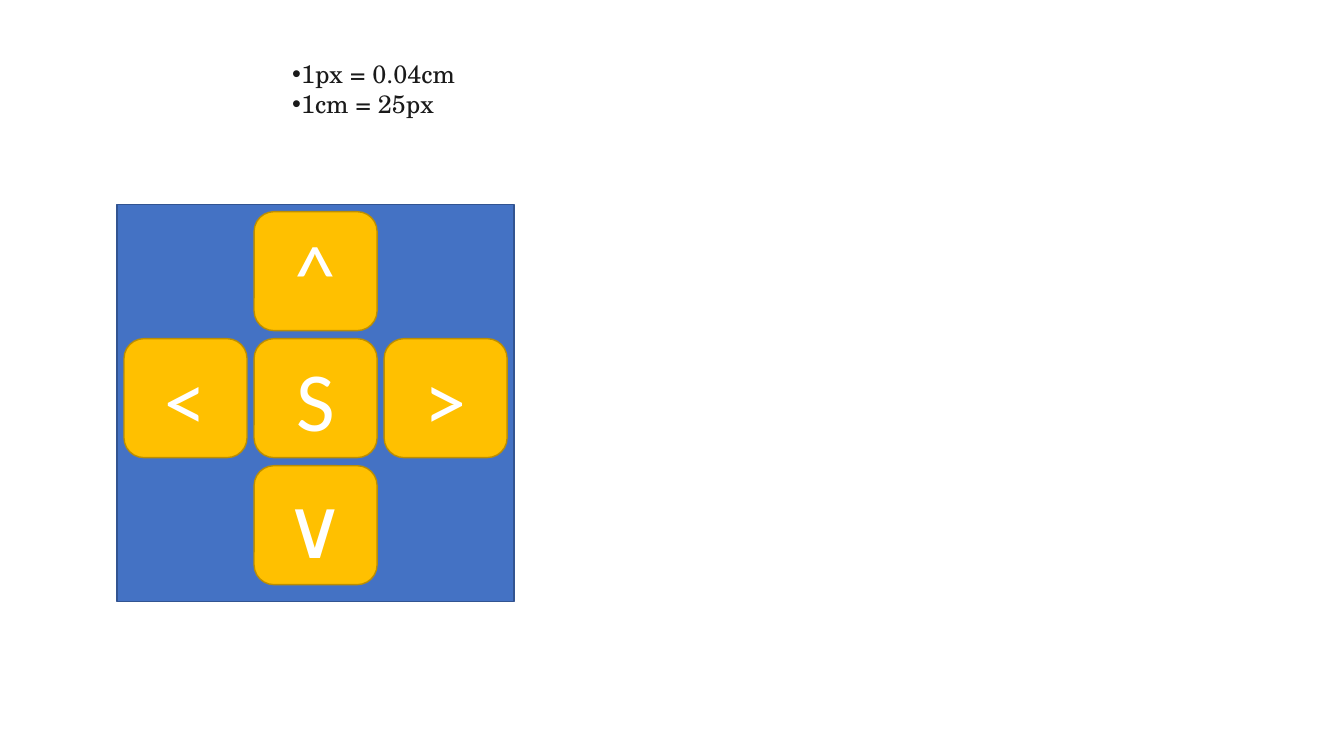
from lxml import etree
from pptx import Presentation
from pptx.dml.color import RGBColor
from pptx.enum.shapes import MSO_SHAPE
from pptx.enum.text import MSO_ANCHOR, MSO_AUTO_SIZE, PP_ALIGN
from pptx.oxml.ns import qn
from pptx.util import Inches, Pt

RECTANGLE = MSO_SHAPE.RECTANGLE
ROUNDED = MSO_SHAPE.ROUNDED_RECTANGLE
MIDDLE = MSO_ANCHOR.MIDDLE
CENTER = PP_ALIGN.CENTER
GROW = MSO_AUTO_SIZE.SHAPE_TO_FIT_TEXT

BLUE = RGBColor(0x44, 0x72, 0xC4)
DARK_BLUE = RGBColor(0x32, 0x54, 0x91)
GOLD = RGBColor(0xFF, 0xC0, 0x00)
DARK_GOLD = RGBColor(0xBD, 0x8E, 0x00)
WHITE = RGBColor(0xFF, 0xFF, 0xFF)
INK = RGBColor(0x1A, 0x1A, 0x1A)

BLANK_LAYOUT = 6
PAD_LEFT, PAD_TOP, PAD_SIZE = 1.16, 2.03, 3.94
KEY_LEFT, KEY_TOP = 1.23, 2.1
KEY_WIDTH, KEY_HEIGHT = 1.22, 1.18
COLUMN_STEP, ROW_STEP = 1.29, 1.26

# Label, column and row of each key
KEYS = [("^", 1, 0), ("\u2228", 1, 2), ("<", 0, 1), (">", 2, 1), ("S", 1, 1)]
SCALE_NOTES = ["1px = 0.04cm", "1cm = 25px"]


def add_run(paragraph, text, font_name, size, color):
    """Add one formatted run to a paragraph."""
    run = paragraph.add_run()
    run.text = text
    run.font.name = font_name
    run.font.size = Pt(size)
    run.font.color.rgb = color


def add_panel(slide, kind, box, fill, line):
    """Add a filled and outlined shape; box is left, top, width, height."""
    shape = slide.shapes.add_shape(kind, *map(Inches, box))
    shape.shadow.inherit = False
    shape.fill.solid()
    shape.fill.fore_color.rgb = fill
    shape.line.color.rgb = line
    shape.line.width = Pt(1)
    return shape


def add_key(slide, label, column, row):
    """Add a labelled key at a column and row of the key grid."""
    box = (KEY_LEFT + column * COLUMN_STEP, KEY_TOP + row * ROW_STEP,
           KEY_WIDTH, KEY_HEIGHT)
    key = add_panel(slide, ROUNDED, box, GOLD, DARK_GOLD)
    key.text_frame.vertical_anchor = MIDDLE
    paragraph = key.text_frame.paragraphs[0]
    paragraph.alignment = CENTER
    add_run(paragraph, label, "Calibri", 60, WHITE)


def add_bullet(paragraph):
    """Give a paragraph a round bullet without a hanging indent."""
    properties = paragraph._p.get_or_add_pPr()
    properties.set("marL", "0")
    properties.set("indent", "0")
    font = etree.SubElement(properties, qn("a:buFont"))
    font.set("typeface", "Arial")
    bullet = etree.SubElement(properties, qn("a:buChar"))
    bullet.set("char", "\u2022")


def add_bullet_list(slide, box, lines):
    """Add a text box with one bullet for each line."""
    text_box = slide.shapes.add_textbox(*map(Inches, box))
    frame = text_box.text_frame
    frame.word_wrap = True
    frame.auto_size = GROW
    for index, line in enumerate(lines):
        paragraph = frame.add_paragraph() if index else frame.paragraphs[0]
        add_bullet(paragraph)
        add_run(paragraph, line, "TeX Gyre Schola", 18, INK)


def main():
    """Build the slide with the key pad and save it."""
    presentation = Presentation()
    presentation.slide_width = Inches(13.33)
    presentation.slide_height = Inches(7.5)
    layout = presentation.slide_layouts[BLANK_LAYOUT]
    slide = presentation.slides.add_slide(layout)
    add_panel(slide, RECTANGLE, (PAD_LEFT, PAD_TOP, PAD_SIZE, PAD_SIZE),
              BLUE, DARK_BLUE)
    add_bullet_list(slide, (2.8, 0.53, 1.88, 1.01), SCALE_NOTES)
    for label, column, row in KEYS:
        add_key(slide, label, column, row)
    presentation.save("out.pptx")


main()
